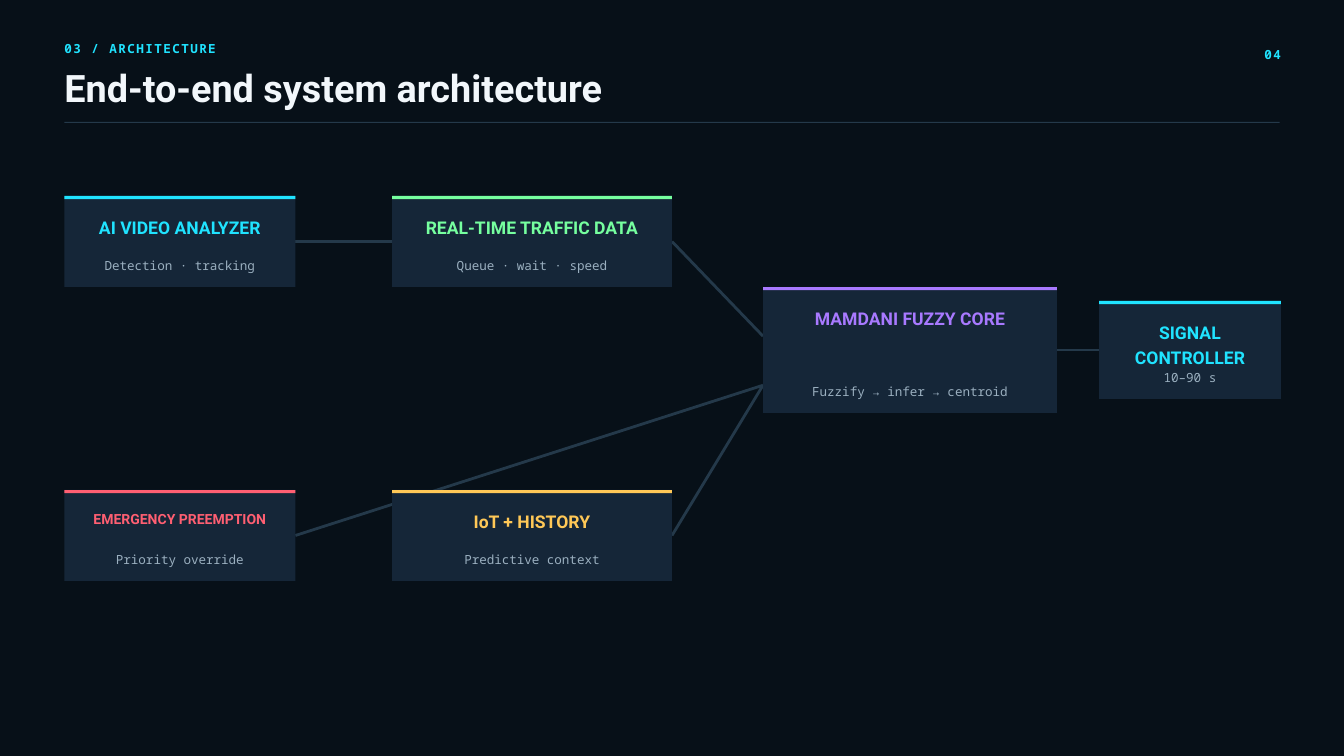
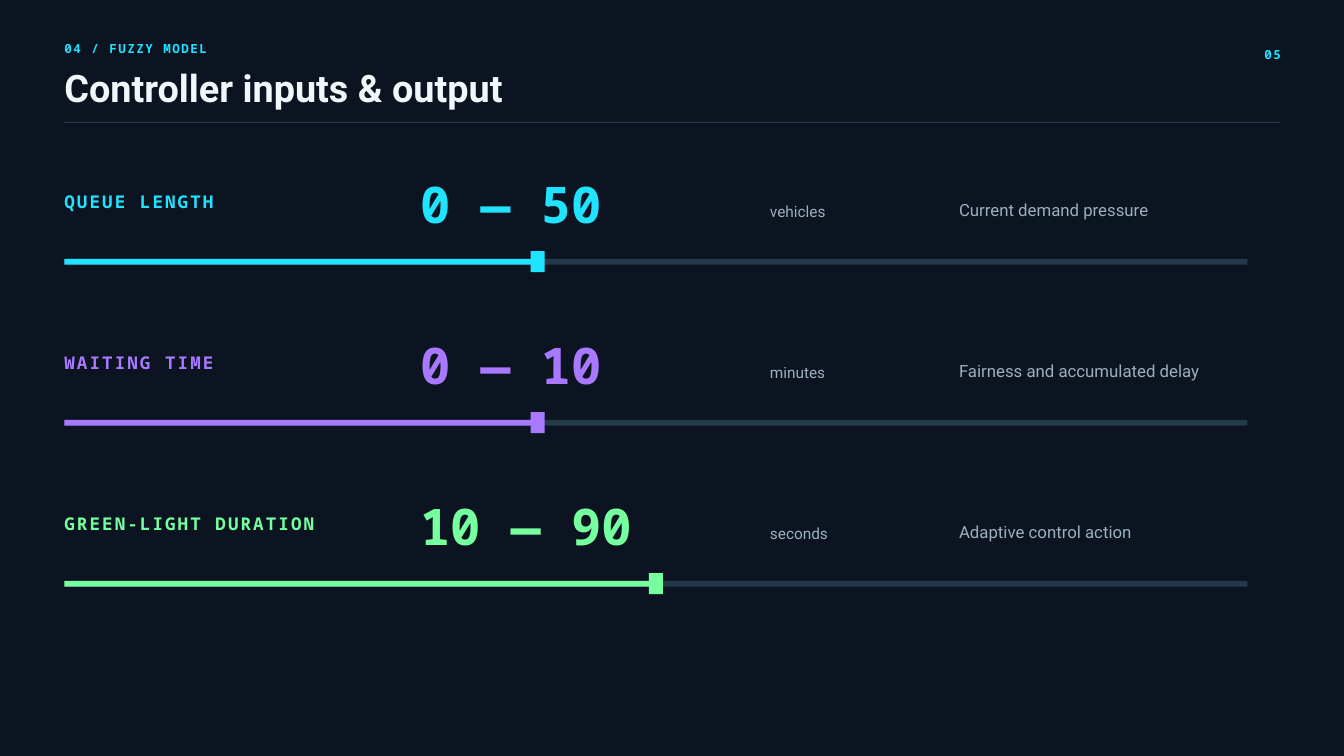
from dataclasses import dataclass

from lxml import etree
from pptx import Presentation
from pptx import util as u
from pptx.dml import color as dml
from pptx.enum import shapes, text
from pptx.oxml import ns

Pt = u.Pt


@dataclass(frozen=True)
class Theme:
    sans: str = "Roboto"
    mono: str = "Noto Sans Mono"
    # Colours
    night: str = "071018"
    navy: str = "0B1420"
    panel: str = "152638"
    rule: str = "24394A"
    white: str = "F2F7FB"
    muted: str = "9BB0C0"
    cyan: str = "20E3FF"
    green: str = "76FF9F"
    violet: str = "A879FF"
    amber: str = "FFC857"
    red: str = "FF5F72"
    # Type sizes
    title: float = 40.5
    value: float = 54
    heading: float = 18.8
    compact: float = 15
    note: float = 18
    unit: float = 16.5
    small: float = 13.5


THEME = Theme()
WIDTH, HEIGHT = 1440, 810
LEFT = 69


def write(frame, content, *, size, color, font=THEME.sans, bold=False,
          align=text.PP_ALIGN.LEFT, leading=1.4, tracking=0):
    """Fill a text frame, one paragraph per line; leading is a multiple of size."""
    frame.word_wrap = True
    frame.auto_size = text.MSO_AUTO_SIZE.SHAPE_TO_FIT_TEXT
    frame.vertical_anchor = text.MSO_ANCHOR.TOP
    frame.margin_left = frame.margin_right = frame.margin_top = frame.margin_bottom = 0
    frame.text = content
    for paragraph in frame.paragraphs:
        paragraph.alignment = align
        paragraph.line_spacing = Pt(round(size * leading, 1))
        paragraph.space_before = Pt(0)
        for run in paragraph.runs:
            run.font.size = Pt(size)
            run.font.name = font
            run.font.bold = bold
            run.font.color.rgb = dml.RGBColor.from_string(color)
            if tracking:
                run.font._element.set("spc", str(round(tracking * 100)))


class Deck:
    """Holds the theme and the slide being drawn."""

    def __init__(self, theme):
        self.theme = theme
        self.presentation = Presentation()
        self.presentation.slide_width = Pt(WIDTH)
        self.presentation.slide_height = Pt(HEIGHT)
        self.slide = None
        self.canvas = None

    def new_slide(self, section, title, number, background):
        theme = self.theme
        self.slide = self.presentation.slides.add_slide(self.presentation.slide_layouts[5])
        self.canvas = self.slide.shapes
        fill = self.slide.background.fill
        fill.solid()
        fill.fore_color.rgb = dml.RGBColor.from_string(background)

        # Header: section, title, page number, rule
        tag = dict(size=theme.small, color=theme.cyan, font=theme.mono, bold=True, tracking=1.6)
        self.label(LEFT, 41.25, 675, 18, section, **tag)
        heading = self.slide.shapes.title
        heading.left, heading.top = Pt(LEFT), Pt(77)
        heading.width, heading.height = Pt(1125), Pt(43)
        write(heading.text_frame, title, size=theme.title, color=theme.white,
              bold=True, leading=1.02)
        self.label(1305, 47.25, 67.5, 18, number, align=text.PP_ALIGN.RIGHT, **tag)
        self.block(LEFT, 130.5, 1302, 1.2, theme.rule)

    def start_group(self):
        self.canvas = self.slide.shapes.add_group_shape().shapes

    def label(self, left, top, width, height, content, **style):
        box = self.canvas.add_textbox(Pt(left), Pt(top), Pt(width), Pt(height))
        write(box.text_frame, content, **style)

    def block(self, left, top, width, height, color):
        shape = self.canvas.add_shape(shapes.MSO_SHAPE.RECTANGLE,
                                      Pt(left), Pt(top), Pt(width), Pt(height))
        shape.shadow.inherit = False
        shape.fill.solid()
        shape.fill.fore_color.rgb = dml.RGBColor.from_string(color)
        shape.line.fill.background()

    def link(self, start, end):
        connector = self.canvas.add_connector(shapes.MSO_CONNECTOR.STRAIGHT,
                                              *map(Pt, (*start, *end)))
        connector.line.width = Pt(3)
        connector.line.color.rgb = dml.RGBColor.from_string(self.theme.rule)
        etree.SubElement(connector._element.spPr, ns.qn("a:effectLst"))

    def card(self, bounds, name, detail, color, size=THEME.heading):
        left, top, width, height = bounds
        inner_left, inner_width = left + 18, width - 36
        centre = text.PP_ALIGN.CENTER
        self.start_group()
        self.block(*bounds, self.theme.panel)
        self.block(left, top, width, 3.5, color)
        self.label(inner_left, top + 18.75, inner_width, 25, name, size=size,
                   color=color, bold=True, align=centre)
        self.label(inner_left, top + height - 33.5, inner_width, 18, detail,
                   size=self.theme.small, color=self.theme.muted,
                   font=self.theme.mono, align=centre)

    def slider(self, top, name, span, unit, meaning, color, share):
        theme = self.theme
        track_width = 1267.5
        filled = track_width * share
        strong = dict(color=color, font=theme.mono, bold=True)
        self.start_group()
        # Track and knob
        self.block(LEFT, top + 102.5, track_width, 6, theme.rule)
        self.block(LEFT, top + 102.5, filled, 6, color)
        self.block(LEFT + filled - 7.5, top + 94, 15, 22.5, color)
        # Name, range, unit and meaning
        self.label(LEFT, top + 26, 352.5, 25, name, size=theme.heading, tracking=2.2, **strong)
        self.label(450, top, 375, 70.5, span, size=theme.value, **strong)
        self.label(825, top + 39.5, 165, 21, unit, size=theme.unit,
                   color=theme.muted, leading=1.35)
        self.label(1027.5, top + 36, 315, 23, meaning, size=theme.note,
                   color=theme.muted, leading=1.35)


def port(bounds, side, share=0.5):
    """Point on the left (0) or right (1) edge of a card, at a share of its height."""
    left, top, width, height = bounds
    return left + side * width, top + share * height


def architecture_slide(deck):
    theme = deck.theme
    deck.new_slide("03 / ARCHITECTURE", "End-to-end system architecture", "04", theme.night)

    analyzer = (LEFT, 210, 247.5, 97.5)
    traffic = (420, 210, 300, 97.5)
    core = (817.5, 307.5, 315, 135)
    controller = (1177.5, 322.5, 195, 105)
    history = (420, 525, 300, 97.5)
    emergency = (LEFT, 525, 247.5, 97.5)

    # Links lie behind the cards
    upper_input, lower_input = port(core, 0, 0.39), port(core, 0, 0.78)
    deck.link(port(analyzer, 1), port(traffic, 0))
    deck.link(port(traffic, 1), upper_input)
    deck.link(port(core, 1), port(controller, 0))
    deck.link(port(history, 1), lower_input)
    deck.link(port(emergency, 1), lower_input)

    # Cards
    deck.card(analyzer, "AI VIDEO ANALYZER", "Detection · tracking", theme.cyan)
    deck.card(traffic, "REAL-TIME TRAFFIC DATA", "Queue · wait · speed", theme.green)
    deck.card(core, "MAMDANI FUZZY CORE", "Fuzzify → infer → centroid", theme.violet)
    deck.card(controller, "SIGNAL\nCONTROLLER", "10–90 s", theme.cyan)
    deck.card(history, "IoT + HISTORY", "Predictive context", theme.amber)
    deck.card(emergency, "EMERGENCY PREEMPTION", "Priority override", theme.red,
              size=theme.compact)


def fuzzy_model_slide(deck):
    theme = deck.theme
    deck.new_slide("04 / FUZZY MODEL", "Controller inputs & output", "05", theme.navy)
    variables = [
        ("QUEUE LENGTH", "0 — 50", "vehicles", "Current demand pressure", theme.cyan, 0.4),
        ("WAITING TIME", "0 — 10", "minutes", "Fairness and accumulated delay", theme.violet, 0.4),
        ("GREEN-LIGHT DURATION", "10 — 90", "seconds", "Adaptive control action", theme.green, 0.5),
    ]
    for row, variable in enumerate(variables):
        deck.slider(175 + row * 172.5, *variable)


def main():
    deck = Deck(THEME)
    architecture_slide(deck)
    fuzzy_model_slide(deck)
    deck.presentation.save("out.pptx")


if __name__ == "__main__":
    main()
